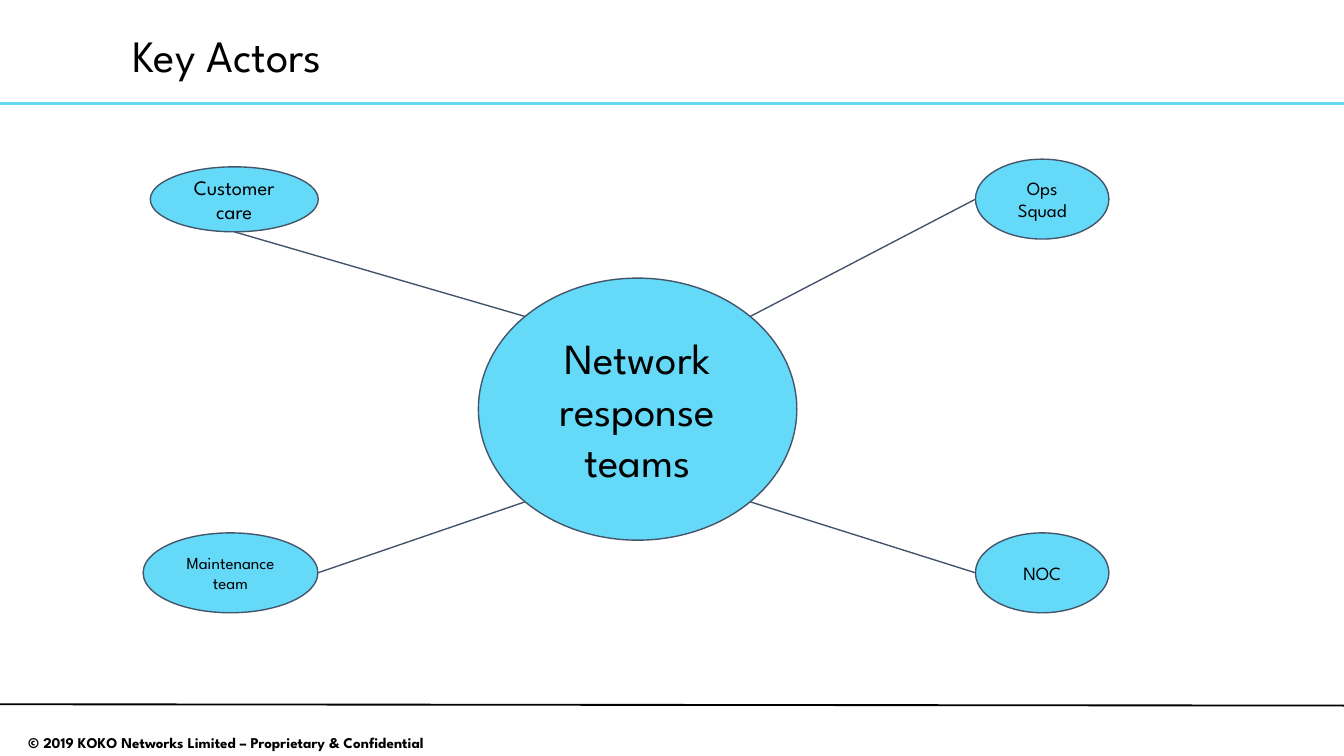
import pptx
import pptx.util
import pptx.dml.color
import pptx.enum.shapes
import pptx.enum.text
import pptx.oxml.ns
import lxml.etree

Pt = pptx.util.Pt
ALIGN = pptx.enum.text.PP_ALIGN
ANCHOR = pptx.enum.text.MSO_ANCHOR
FACE = "League Spartan"
SKY, SLATE, BLACK = "65D9F8", "44546A", "000000"
DIAG = 0.5 ** 0.5 / 2

# Points on an oval's edge, as shares of its width and height
SITES = {
    "left": (0, 0.5),
    "bottom": (0.5, 1),
    "nw": (0.5 - DIAG, 0.5 - DIAG),
    "ne": (0.5 + DIAG, 0.5 - DIAG),
    "sw": (0.5 - DIAG, 0.5 + DIAG),
    "se": (0.5 + DIAG, 0.5 + DIAG),
    "right": (1, 0.5),
}

HUB = ("Network response teams", 23, (256.3, 149, 170.6, 140.4))
# Text, size, box, own site, hub site
ACTORS = [
    ("Customer care", 11, (80.5, 89.4, 90, 34.8), "bottom", "nw"),
    ("Maintenance team", 9, (76.7, 285.5, 93.6, 42.8), "right", "sw"),
    ("NOC", 10, (522.6, 285.5, 71.5, 42.8), "left", "se"),
    ("Ops Squad", 10, (522.6, 85.3, 71.5, 42.8), "left", "ne"),
]


def apply(item, values):
    for name, value in values.items():
        setattr(item, name, value)


def paint(form, color):
    """Colour a fill, or the solid fill of a line or font."""
    form.solid()
    form.fore_color.rgb = pptx.dml.color.RGBColor.from_string(color)


def write(shape, text, size, pad, align, anchor, bold=False, gap=1.0):
    """Fill a shape with one paragraph; pad is (side, end) insets."""
    side, end = map(Pt, pad)
    frame = shape.text_frame
    apply(frame, {
        "word_wrap": True, "vertical_anchor": anchor,
        "auto_size": pptx.enum.text.MSO_AUTO_SIZE.NONE,
        "margin_left": side, "margin_right": side,
        "margin_top": end, "margin_bottom": end,
    })
    para = frame.paragraphs[0]
    apply(para, {"alignment": align, "line_spacing": gap})
    run = para.add_run()
    run.text = text
    apply(run.font, {"name": FACE, "size": Pt(size), "bold": bold})
    paint(run.font.fill, BLACK)


def draw_line(slide, start, end, color, width):
    line = slide.shapes.add_connector(
        pptx.enum.shapes.MSO_CONNECTOR.STRAIGHT, *map(Pt, start + end))
    paint(line.line.fill, color)
    line.line.width = Pt(width)
    props = line._element.spPr
    lxml.etree.SubElement(props, pptx.oxml.ns.qn("a:effectLst"))


def draw_oval(slide, text, size, box):
    oval = slide.shapes.add_shape(
        pptx.enum.shapes.MSO_SHAPE.FLOWCHART_CONNECTOR, *map(Pt, box))
    oval.shadow.inherit = False
    paint(oval.fill, SKY)
    paint(oval.line.fill, SLATE)
    oval.line.width = Pt(0.75)
    write(oval, text, size, (7.2, 7.2), ALIGN.CENTER, ANCHOR.MIDDLE)


def edge(box, site):
    """Give the point where a line meets an oval."""
    left, top, width, height = box
    across, down = SITES[site]
    return left + across * width, top + down * height


def add_title(slide, text):
    title = slide.shapes.title
    apply(title, {"left": Pt(66.2), "top": Pt(13.7),
                  "width": Pt(466.6), "height": Pt(34.6)})
    write(title, text, 24, (5, 2.9), ALIGN.LEFT, ANCHOR.MIDDLE, gap=0.9)


def add_frame(slide):
    """Draw the header rule, the footer rule and the footer."""
    draw_line(slide, (0, 55.4), (720.7, 55.4), SKY, 1.5)
    foot = slide.shapes.add_textbox(*map(Pt, (0, 390.2, 244.8, 15.1)))
    write(foot, "© 2019 KOKO Networks Limited – Proprietary & Confidential ",
          8, (5, 2.9), ALIGN.CENTER, ANCHOR.TOP, bold=True)
    draw_line(slide, (0, 377.3), (720, 378), BLACK, 1)


def main():
    deck = pptx.Presentation()
    apply(deck, {"slide_width": Pt(720), "slide_height": Pt(405)})
    slide = deck.slides.add_slide(deck.slide_layouts[5])
    add_frame(slide)
    add_title(slide, "Key Actors")
    draw_oval(slide, *HUB)
    for text, size, box, site, port in ACTORS:
        draw_oval(slide, text, size, box)
        draw_line(slide, edge(HUB[2], port), edge(box, site), SLATE, 0.75)
    deck.save("out.pptx")


if __name__ == "__main__":
    main()
